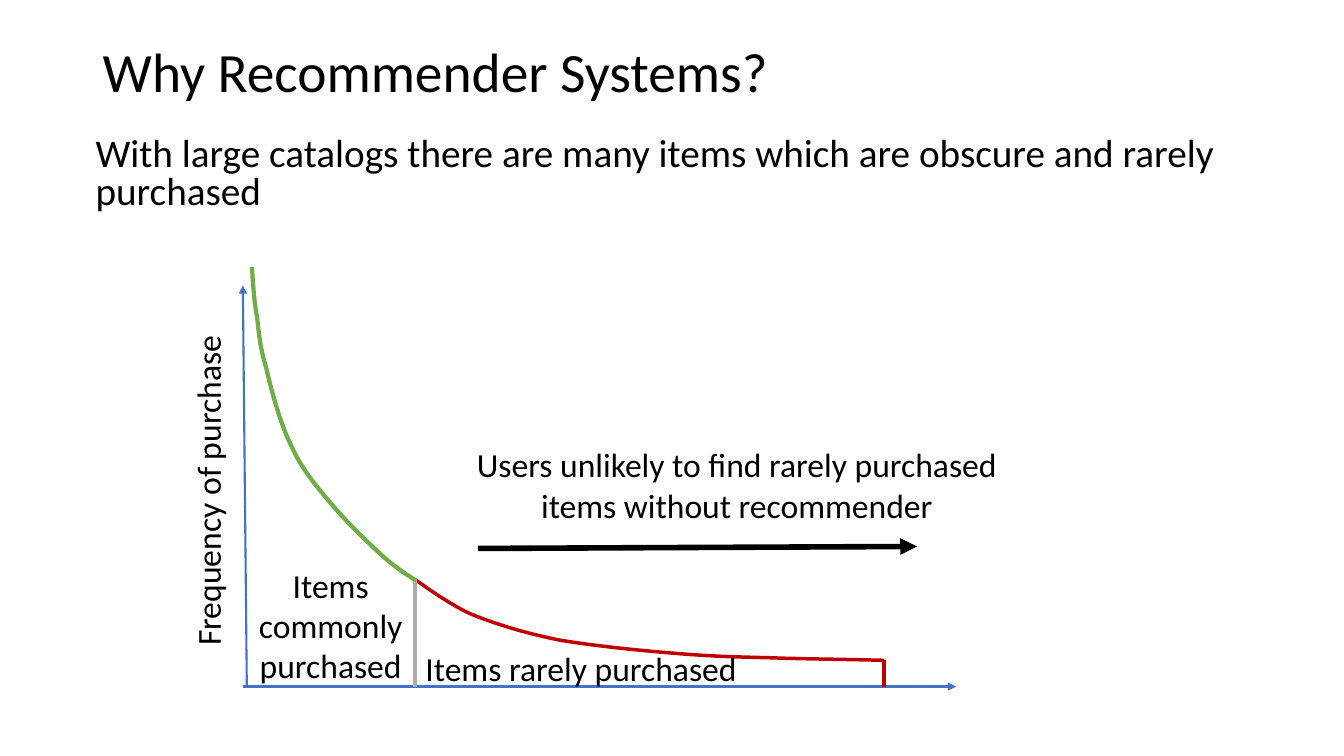
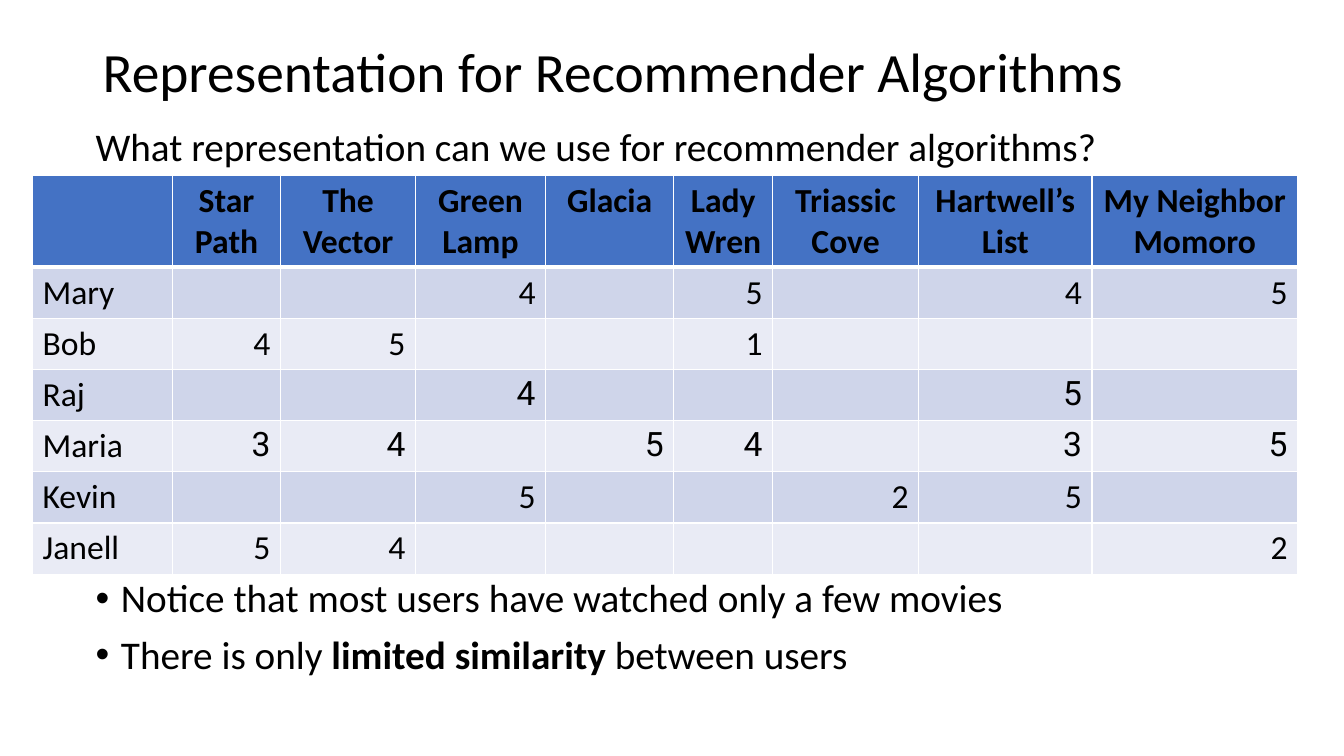
from lxml.etree import SubElement as Sub
from pptx import Presentation as Deck
from pptx.dml.color import RGBColor as Rgb
from pptx.enum.shapes import MSO_CONNECTOR as Link
from pptx.enum.text import MSO_ANCHOR as Anchor, PP_ALIGN as Align
from pptx.oxml.ns import qn
from pptx.util import Cm, Pt

BLACK, WHITE = "000000", "FFFFFF"
BLUE, RED, GREEN, GREY = "4472C4", "C00000", "70AD47", "AFABAB"
BANDS = ("CFD5EA", "E9EBF5")


def tint(code):
    return Rgb.from_string(code)


def apply(thing, form):
    for name, value in form.items():
        setattr(thing, name, value)


def bend(start, parts, steps=12):
    dots = [start]
    for one, two, end in parts:
        first = dots[-1]
        for step in range(1, steps + 1):
            t = step / steps
            u = 1 - t
            dots.append(tuple(
                u**3 * a + 3 * u * u * t * b + 3 * u * t * t * c + t**3 * d
                for a, b, c, d in zip(first, one, two, end)))
    return dots


class Show:
    """Hold the shared style and the current slide."""

    font = {"name": "Calibri", "size": Pt(24), "bold": False}
    body = {"line_spacing": 0.9, "space_before": Pt(10)}
    mid = {"alignment": Align.CENTER}

    def __init__(self):
        self.deck = Deck()
        apply(self.deck, {"slide_width": Cm(33.87), "slide_height": Cm(19.05)})

    def slide(self, title):
        self.page = self.deck.slides.add_slide(self.deck.slide_layouts[6])
        box = self.text((2.34, 1.02, 29.21, 1.73), [title], 39.6,
                        {"line_spacing": 0.9})
        box.text_frame.vertical_anchor = Anchor.MIDDLE

    def words(self, frame, lines, font, form):
        for spot, line in enumerate(lines):
            para = frame.add_paragraph() if spot else frame.paragraphs[0]
            apply(para, form)
            for part, piece in enumerate(line.split("*")):
                run = para.add_run()
                run.text = piece
                apply(run.font, self.font | font)
                run.font.color.rgb = tint(BLACK)
                if part % 2:
                    run.font.bold = True

    def text(self, place, lines, size=24, form=mid, turn=0):
        box = self.page.shapes.add_textbox(*map(Cm, place))
        box.rotation = turn
        box.text_frame.word_wrap = True
        self.words(box.text_frame, lines, {"size": Pt(size)}, form)
        return box

    def bullets(self, place, lines):
        box = self.text(place, lines, 28, self.body)
        for para in box.text_frame.paragraphs:
            props = para._p.get_or_add_pPr()
            props.set("marL", str(Cm(0.64)))
            props.set("indent", str(-Cm(0.64)))
            Sub(props, qn("a:buFont"), typeface="Arial")
            Sub(props, qn("a:buChar"), char="•")

    def stroke(self, shape, code, width):
        shape.line.color.rgb = tint(code)
        shape.line.width = Pt(width)

    def line(self, start, end, code, width, arrow=False):
        wire = self.page.shapes.add_connector(
            Link.STRAIGHT, *map(Cm, start + end))
        self.stroke(wire, code, width)
        props = wire.element.spPr
        if arrow:
            Sub(props.find(qn("a:ln")), qn("a:tailEnd"), type="triangle")
        Sub(props, qn("a:effectLst"))

    def curve(self, start, parts, code, width):
        dots = [tuple(map(Cm, dot)) for dot in bend(start, parts)]
        pen = self.page.shapes.build_freeform(*dots[0])
        pen.add_line_segments(dots[1:], close=False)
        shape = pen.convert_to_shape()
        shape.shadow.inherit = False
        shape.fill.background()
        self.stroke(shape, code, width)

    def edge(self, cell, sides):
        props = cell._tc.get_or_add_tcPr()
        for side, width in sides.items():
            rule = Sub(props, qn("a:ln" + side), w=str(Pt(width)))
            Sub(Sub(rule, qn("a:solidFill")), qn("a:srgbClr"), val=WHITE)

    def table(self, spot, wide, high, rows, styled):
        size = (sum(wide), sum(high))
        grid = self.page.shapes.add_table(
            len(rows), len(wide), *map(Cm, spot + size)).table
        for col, width in zip(grid.columns, wide):
            col.width = Cm(width)
        for r, (row, height) in enumerate(zip(rows, high)):
            grid.rows[r].height = Cm(height)
            for c, label in enumerate(row):
                cell = grid.cell(r, c)
                self.edge(cell, {"L": 1, "R": 1, "T": 3 if r == 1 else 1,
                                 "B": 1 if r else 3})
                cell.fill.solid()
                cell.fill.fore_color.rgb = tint(
                    BANDS[(r - 1) % 2] if r else BLUE)
                if not label:
                    continue
                side = Align.CENTER if not r else Align.RIGHT if c else Align.LEFT
                face = "Roboto" if c and row[0] in styled else "Calibri"
                self.words(cell.text_frame, label.split("\n"),
                           {"name": face, "bold": r == 0}, {"alignment": side})


def reasons(show):
    show.slide("Why Recommender Systems?")
    show.text((2.16, 3.35, 29.21, 2.18),
              ["With large catalogs there are many items which are obscure "
               "and rarely purchased"], 28, show.body | {"line_spacing": 0.8})
    base, split, last = 17.3, (10.46, 14.6), (22.28, 16.64)
    show.line((6.12, base), (24.1, base), BLUE, 1.5, True)
    show.line((6.22, base), (6.12, 7.19), BLUE, 1.5, True)
    show.curve(last, [
        ((21.47, 16.62), (20.65, 16.61), (19.84, 16.59)),
        ((19, 16.56), (18.19, 16.56), (17.22, 16.48)),
        ((16.28, 16.41), (14.99, 16.28), (14.1, 16.13)),
        ((13.21, 15.95), (12.47, 15.72), (11.86, 15.47)),
        ((11.28, 15.21), split, split)], RED, 2.5)
    for top, code in ((split, GREY), (last, RED)):
        show.line(top, (top[0], base), code, 2.5)
    show.curve((10.49, 14.63), [
        ((10.24, 14.48), (10.01, 14.33), (9.63, 14)),
        ((9.27, 13.67), (8.69, 13.11), (8.31, 12.65)),
        ((7.92, 12.19), (7.59, 11.79), (7.34, 11.23)),
        ((7.06, 10.67), (6.83, 9.8), (6.71, 9.27)),
        ((6.55, 8.74), (6.53, 8.43), (6.48, 8)),
        ((6.4, 7.57), (6.38, 7.16), (6.35, 6.73))], GREEN, 3)
    for place, label, turn in (
            ((0.3, 11.73, 9.86, 1.27), "Frequency of purchase", 270),
            ((10.44, 16.21, 8.41, 1.27), "Items rarely purchased", 0),
            ((6.05, 14.1, 4.57, 3.33), "Items commonly purchased", 0),
            ((11.66, 11.07, 13.82, 2.31), "Users unlikely to find rarely "
             "purchased items without recommender", 0)):
        show.text(place, [label], turn=turn)
    show.line((12.04, 13.82), (23.11, 13.77), BLACK, 4, True)


def ratings(show):
    show.slide("Representation for Recommender Algorithms")
    show.text((2.16, 3.1, 29.21, 1.3),
              ["What representation can we use for recommender algorithms?"],
              28, show.body)
    films = ["", "Star Path", "The Vector", "Green Lamp", "Glacia",
             "Lady Wren", "Triassic Cove", "Hartwell’s List",
             "My Neighbor\nMomoro"]
    marks = {"Mary": "--4-5-45", "Bob": "45--1---", "Raj": "--4---5-",
             "Maria": "34-54-35", "Kevin": "--5--25-", "Janell": "54-----2"}
    rows = [films] + [[name, *("" if mark == "-" else mark for mark in line)]
                      for name, line in marks.items()]
    show.table((0.82, 4.42),
               (3.53, 2.72, 3.4, 3.28, 3.23, 2.49, 3.68, 4.37, 5.18),
               [2.31] + [1.29] * len(marks), rows, ("Raj", "Maria"))
    show.bullets((2.16, 14.46, 29.21, 3.2),
                 ["Notice that most users have watched only a few movies",
                  "There is only *limited similarity *between users"])


def main():
    show = Show()
    reasons(show)
    ratings(show)
    show.deck.save("out.pptx")


if __name__ == "__main__":
    main()
